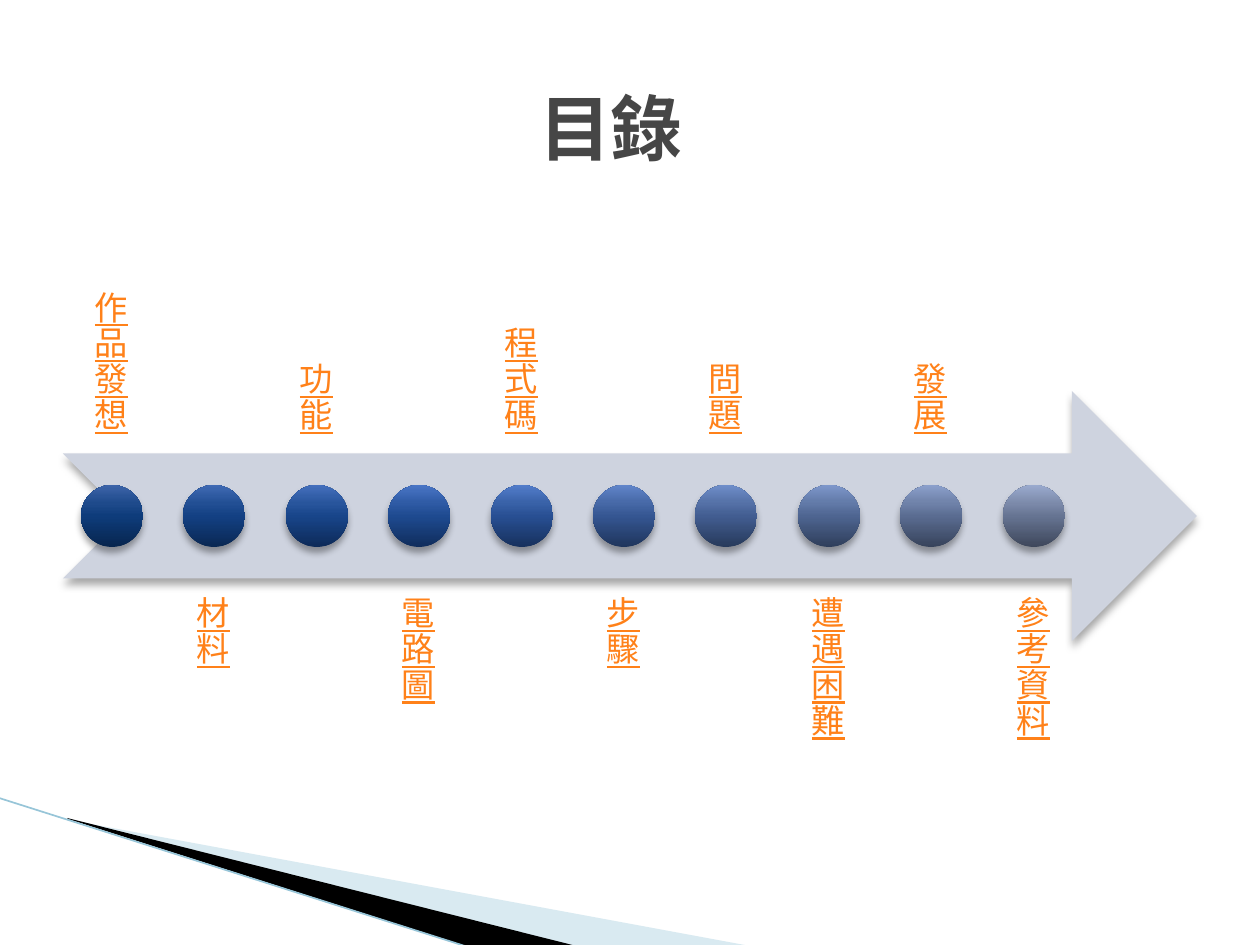
from dataclasses import dataclass

from lxml import etree
from pptx import Presentation
from pptx.dml.color import RGBColor
from pptx.enum.shapes import MSO_CONNECTOR as CONN, MSO_SHAPE as SHAPE
from pptx.enum.text import MSO_ANCHOR as ANCHOR, PP_ALIGN as ALIGN
from pptx.oxml import parse_xml
from pptx.oxml.ns import nsdecls, qn
from pptx.util import Emu, Pt

SCALE = 914400 / 126


def px(n):
    return Emu(round(n * SCALE))


@dataclass(frozen=True)
class Theme:
    font: str = "Courier New"
    title: str = "464646"
    link: str = "FF8119"
    arrow: str = "CED3DF"
    pale: str = "A0CBDC"
    black: str = "000000"
    edge: str = "97C5D8"
    title_size: int = 41
    label_size: int = 19


THEME = Theme()
STOPS = (0, 50, 70, 100)
TOPICS = [
    ("作品發想", "07254E 0E3C7B 1E4A8B 3D64A9"),
    ("材料", "0A2853 134083 224F94 406AB4"),
    ("功能", "0D2A58 18458A 28559C 446FBD"),
    ("電路圖", "102D5C 1E4A90 2E5AA4 4975C6"),
    ("程式碼", "17315D 284F93 3861A7 527CCA"),
    ("步驟", "1F355C 355692 4668A6 6185CA"),
    ("問題", "273A5B 425D91 5470A6 6F8ECA"),
    ("遭遇困難", "2F3E5B 4E6591 6179A7 7E97CB"),
    ("發展", "37435B 5A6C91 6E81A8 8CA0CC"),
    ("參考資料", "3E475B 667492 7B89A9 9AAACE"),
]


def write_text(tf, text, size, color, bold=False, underline=False, anchor=ANCHOR.TOP,
               spacing=None, inset=None):
    tf.word_wrap = True
    tf.vertical_anchor = anchor
    if inset is not None:
        tf.margin_left = tf.margin_right = tf.margin_top = tf.margin_bottom = px(inset)
    p = tf.paragraphs[0]
    p.alignment = ALIGN.CENTER
    p.line_spacing = spacing
    r = p.add_run()
    r.text = text
    font = r.font
    font.name, font.size = THEME.font, Pt(size)
    font.bold, font.underline = bold, underline
    font.color.rgb = RGBColor.from_string(color)
    ea = etree.SubElement(r._r.get_or_add_rPr(), qn("a:ea"))
    ea.set("typeface", THEME.font)


class SlideBuilder:
    def __init__(self, slide, theme):
        self.slide, self.theme = slide, theme
        self.shapes = slide.shapes

    def title(self, text, x, y, w, h):
        sp = self.shapes.title
        sp.left, sp.top, sp.width, sp.height = map(px, (x, y, w, h))
        write_text(sp.text_frame, text, self.theme.title_size, self.theme.title,
                   bold=True, anchor=ANCHOR.MIDDLE)

    def label(self, text, x, y, w, h, anchor):
        sp = self.shapes.add_textbox(*map(px, (x, y, w, h)))
        write_text(sp.text_frame, text, self.theme.label_size, self.theme.link,
                   underline=True, anchor=anchor, spacing=0.9, inset=19)

    def solid(self, sp, color, alpha=None):
        sp.shadow.inherit = False
        sp.line.fill.background()
        sp.fill.solid()
        sp.fill.fore_color.rgb = RGBColor.from_string(color)
        if alpha:
            clr = sp._element.spPr.find(".//" + qn("a:srgbClr"))
            etree.SubElement(clr, qn("a:alpha")).set("val", str(alpha * 1000))

    def polygon(self, points, color, alpha=None):
        start, *rest = points
        fb = self.shapes.build_freeform(*start, scale=SCALE)
        fb.add_line_segments(rest, close=True)
        self.solid(fb.convert_to_shape(), color, alpha)

    def line(self, x1, y1, x2, y2, color, width):
        cx = self.shapes.add_connector(CONN.STRAIGHT, *map(px, (x1, y1, x2, y2)))
        cx.line.color.rgb = RGBColor.from_string(color)
        cx.line.width = Pt(width)
        etree.SubElement(cx._element.spPr, qn("a:effectLst"))

    def raised(self, kind, x, y, w, h, color):
        sp = self.shapes.add_shape(kind, *map(px, (x, y, w, h)))
        self.solid(sp, color)
        effects = sp._element.spPr.find(qn("a:effectLst"))
        effects.append(parse_xml(
            f'<a:outerShdw {nsdecls("a")} blurRad="{Pt(4)}" dist="{Pt(3)}" dir="5400000" '
            f'rotWithShape="0"><a:srgbClr val="{self.theme.black}"><a:alpha val="35000"/>'
            '</a:srgbClr></a:outerShdw>'))
        return sp

    def ball(self, x, y, size, colors):
        sp = self.raised(SHAPE.OVAL, x, y, size, size, colors[0])
        stops = "".join(f'<a:gs pos="{pos * 1000}"><a:srgbClr val="{c}"/></a:gs>'
                        for pos, c in zip(STOPS, colors))
        spPr = sp._element.spPr
        spPr.replace(spPr.find(qn("a:solidFill")), parse_xml(
            f'<a:gradFill {nsdecls("a")} rotWithShape="1"><a:gsLst>{stops}</a:gsLst>'
            '<a:lin ang="16200000" scaled="0"/></a:gradFill>'))


def main():
    prs = Presentation()
    prs.slide_width, prs.slide_height = px(1260), px(945)
    sb = SlideBuilder(prs.slides.add_slide(prs.slide_layouts[5]), THEME)

    sb.polygon([(69, 820), (750, 946), (575, 946), (69, 819)], THEME.pale, alpha=40)
    sb.polygon([(67, 818), (576, 946), (469, 947), (68, 819)], THEME.black)
    sb.line(-1, 798, 468, 947, THEME.edge, 0.95)

    left, step, label_w, label_h, ball = 63, 102.4, 97, 250, 62
    sb.raised(SHAPE.NOTCHED_RIGHT_ARROW, left, 391, 1134, 250, THEME.arrow)
    for i, (text, colors) in enumerate(TOPICS):
        x = round(left + i * step)
        y, anchor = (578, ANCHOR.TOP) if i % 2 else (204, ANCHOR.BOTTOM)
        sb.label(text, x, y, label_w, label_h, anchor)
        sb.ball(x + (label_w - ball) // 2 + 1, 485, ball, colors.split())

    sb.title("目錄", 44, 48, 1134, 158)
    prs.save("out.pptx")


if __name__ == "__main__":
    main()
